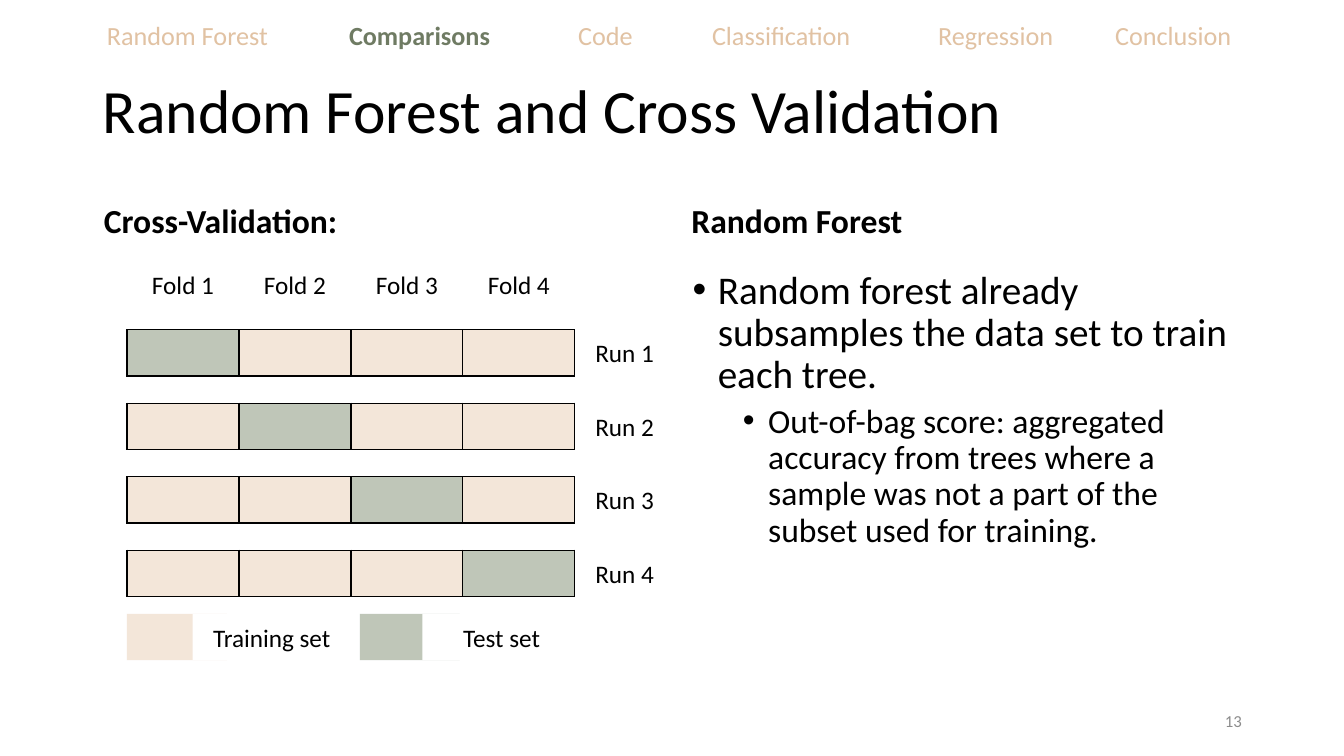
from lxml.etree import SubElement
from pptx import Presentation
from pptx.dml.color import RGBColor
from pptx.enum.shapes import MSO_SHAPE
from pptx.enum.text import MSO_ANCHOR, MSO_AUTO_SIZE, PP_ALIGN
from pptx.oxml.ns import qn
from pptx.util import Inches, Pt

SECTIONS = ["Random Forest", "Comparisons", "Code", "Classification", "Regression", "Conclusion"]
SECTION_LEFTS = [7.95, 25.97, 43.01, 52.98, 69.8, 82.97]
CURRENT_SECTION = "Comparisons"
FOLDS = 4
LEFT, COLUMN, ROW = 9.45, 8.33, 6.13
FIRST_RUN, RUN_STEP = 43.6, 9.73
LEGEND_TOP = 81.2


def color(code):
    return RGBColor.from_string(code)


def write(para, text, size=18, ink="000000", bold=False, align=PP_ALIGN.LEFT,
          spacing=None, before=0, font="Calibri"):
    para.alignment = align
    para.space_before = Pt(before)
    if spacing:
        para.line_spacing = spacing
    span = para.add_run()
    span.text = text
    span.font.name = font
    span.font.size = Pt(size)
    span.font.bold = bold
    span.font.color.rgb = color(ink)


def set_bullet(para, margin, hanging=0.25):
    properties = para._p.get_or_add_pPr()
    properties.set("marL", str(Inches(margin)))
    properties.set("indent", str(-Inches(hanging)))
    SubElement(properties, qn("a:buFont"), typeface="Arial")
    SubElement(properties, qn("a:buChar"), char="•")


def set_tabs(para, positions):
    tab_list = SubElement(para._p.get_or_add_pPr(), qn("a:tabLst"))
    for position in positions:
        SubElement(tab_list, qn("a:tab"), pos=str(position), algn="l")


def set_borders(cell, ink="000000", points=1):
    properties = cell._tc.get_or_add_tcPr()
    for side in ("lnL", "lnR", "lnT", "lnB"):
        line = SubElement(properties, qn(f"a:{side}"), w=str(Pt(points)))
        fill = SubElement(line, qn("a:solidFill"))
        SubElement(fill, qn("a:srgbClr"), val=ink)


class SlideBuilder:
    """Holds the colours and the page; lengths are percentages of the slide."""

    training, test, blank = "F3E6D9", "BFC6B8", "FFFFFF"
    faded, active, number = "E1C2A3", "6F7B63", "8C8C8C"

    def __init__(self, deck):
        self.deck = deck
        self.page = deck.slides.add_slide(deck.slide_layouts.get_by_name("Comparison"))

    def across(self, share):
        return round(self.deck.slide_width * share / 100)

    def down(self, share):
        return round(self.deck.slide_height * share / 100)

    def area(self, left, top, width, height):
        return self.across(left), self.down(top), self.across(width), self.down(height)

    def placeholder(self, index, area, anchor):
        """Moves a template placeholder and returns its text frame."""
        box = self.page.placeholders[index]
        box.left, box.top, box.width, box.height = self.area(*area)
        frame = box.text_frame
        frame.auto_size = MSO_AUTO_SIZE.NONE
        frame.vertical_anchor = anchor
        return frame

    def text_box(self, *area):
        frame = self.page.shapes.add_textbox(*self.area(*area)).text_frame
        frame.word_wrap = True
        frame.vertical_anchor = MSO_ANCHOR.MIDDLE
        return frame

    def label(self, text, *area, **style):
        write(self.text_box(*area).paragraphs[0], text, **style)

    def rectangle(self, fill, *area, text=None):
        box = self.page.shapes.add_shape(MSO_SHAPE.RECTANGLE, *self.area(*area))
        box.shadow.inherit = False
        box.fill.solid()
        box.fill.fore_color.rgb = color(fill)
        box.line.fill.background()
        if text:
            box.text_frame.vertical_anchor = MSO_ANCHOR.MIDDLE
            write(box.text_frame.paragraphs[0], text, align=PP_ALIGN.CENTER)

    def fold_row(self, top):
        """Adds a one-row table with a column per fold and returns its cells."""
        area = self.area(LEFT, top, FOLDS * COLUMN, ROW)
        table = self.page.shapes.add_table(1, FOLDS, *area).table
        table.first_row = table.horz_banding = False
        return list(table.iter_cells())

    def navigation(self):
        frame = self.text_box(0, 2, 100, 5.33)
        frame.margin_left = self.across(SECTION_LEFTS[0])
        para = frame.paragraphs[0]
        set_tabs(para, [self.across(left - SECTION_LEFTS[0]) for left in SECTION_LEFTS[1:]])
        for position, section in enumerate(SECTIONS):
            current = section == CURRENT_SECTION
            write(para, "\t" + section if position else section, size=18.7,
                  ink=self.active if current else self.faded, bold=current)

    def fold_names(self):
        for number, cell in enumerate(self.fold_row(35.07), 1):
            cell.fill.background()
            write(cell.text_frame.paragraphs[0], f"Fold {number}", align=PP_ALIGN.CENTER)

    def run(self, number):
        top = FIRST_RUN + (number - 1) * RUN_STEP
        for fold, cell in enumerate(self.fold_row(top), 1):
            set_borders(cell)
            cell.fill.solid()
            cell.fill.fore_color.rgb = color(self.test if fold == number else self.training)
        self.label(f"Run {number}", 42.8, top, 7.35, ROW, align=PP_ALIGN.CENTER)

    def legend(self, fill, text, swatch_left, text_left):
        self.rectangle(fill, swatch_left, LEGEND_TOP, 7.43, ROW)
        self.rectangle(self.blank, text_left, LEGEND_TOP, 11.78, ROW, text=text)


def main():
    deck = Presentation()
    deck.slide_width, deck.slide_height = Inches(13.33), Inches(7.5)
    slide = SlideBuilder(deck)

    title = slide.placeholder(0, (6.9, 5.33, 86.25, 19.33), MSO_ANCHOR.MIDDLE)
    write(title.paragraphs[0], "Random Forest and Cross Validation", size=44, spacing=0.9)
    for index, left, heading in [(1, 6.98, "Cross-Validation:"), (3, 50.7, "Random Forest")]:
        frame = slide.placeholder(index, (left, 20.53, 42.4, 12), MSO_ANCHOR.BOTTOM)
        write(frame.paragraphs[0], heading, size=24, bold=True, spacing=0.9)

    points = slide.placeholder(4, (50.78, 35.07, 42.5, 51.33), MSO_ANCHOR.TOP)
    main_point, detail = points.paragraphs[0], points.add_paragraph()
    detail.level = 1
    set_bullet(main_point, 0.25)
    set_bullet(detail, 0.75)
    write(main_point, "Random forest already subsamples the data set to train each tree.",
          size=28, spacing=0.9)
    write(detail, "Out-of-bag score: aggregated accuracy from trees where a sample "
          "was not a part of the subset used for training.", size=24, spacing=0.9, before=5)
    unused = slide.page.placeholders[2].element
    unused.getparent().remove(unused)

    slide.navigation()
    slide.label("13", 70.65, 92.67, 22.5, 5.33, size=12, ink=slide.number, align=PP_ALIGN.RIGHT)
    slide.fold_names()
    for number in range(1, FOLDS + 1):
        slide.run(number)
    slide.legend(slide.training, "Training set", LEFT, 14.33)
    slide.legend(slide.test, "Test set", 26.78, 31.43)
    deck.save("out.pptx")


if __name__ == "__main__":
    main()
